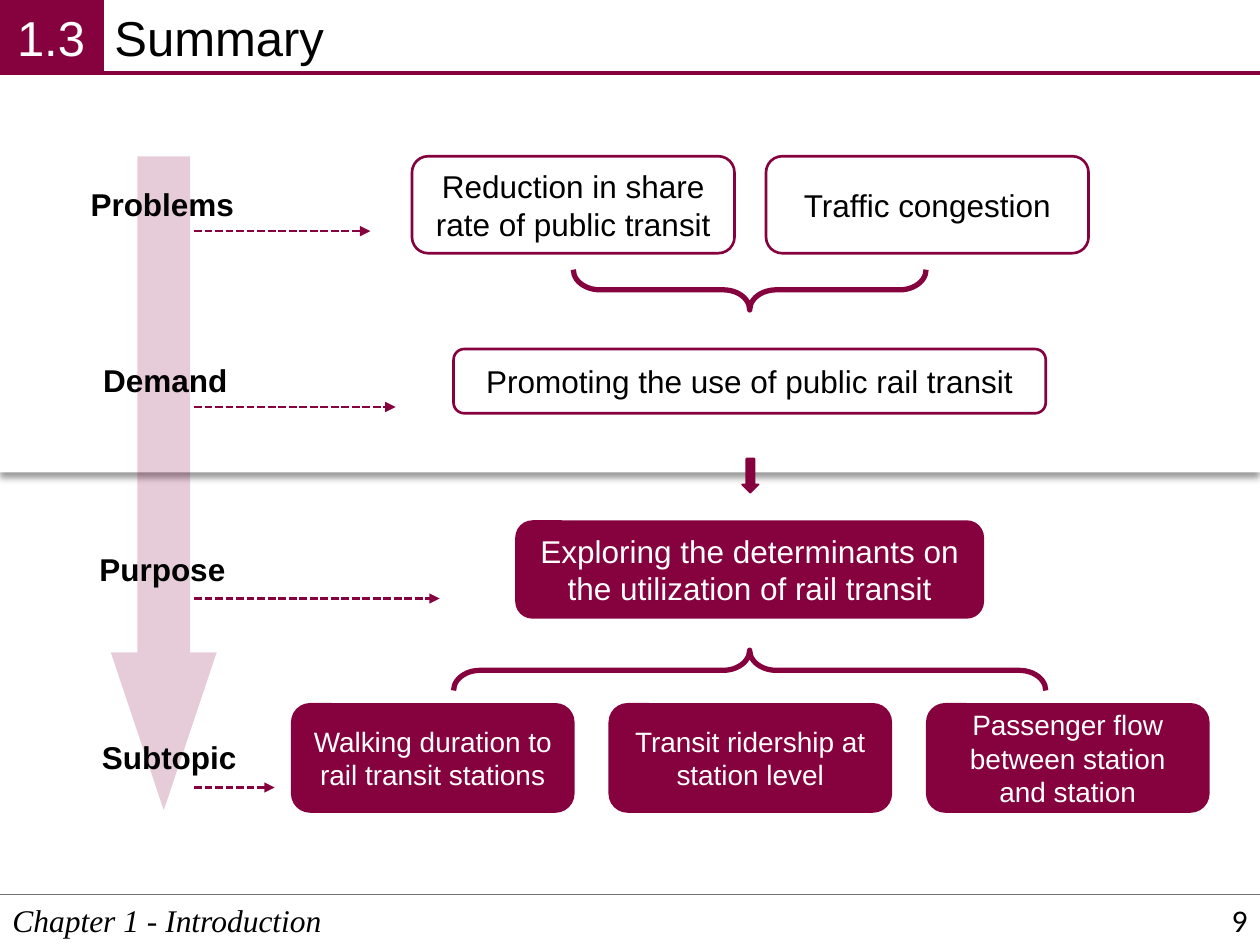
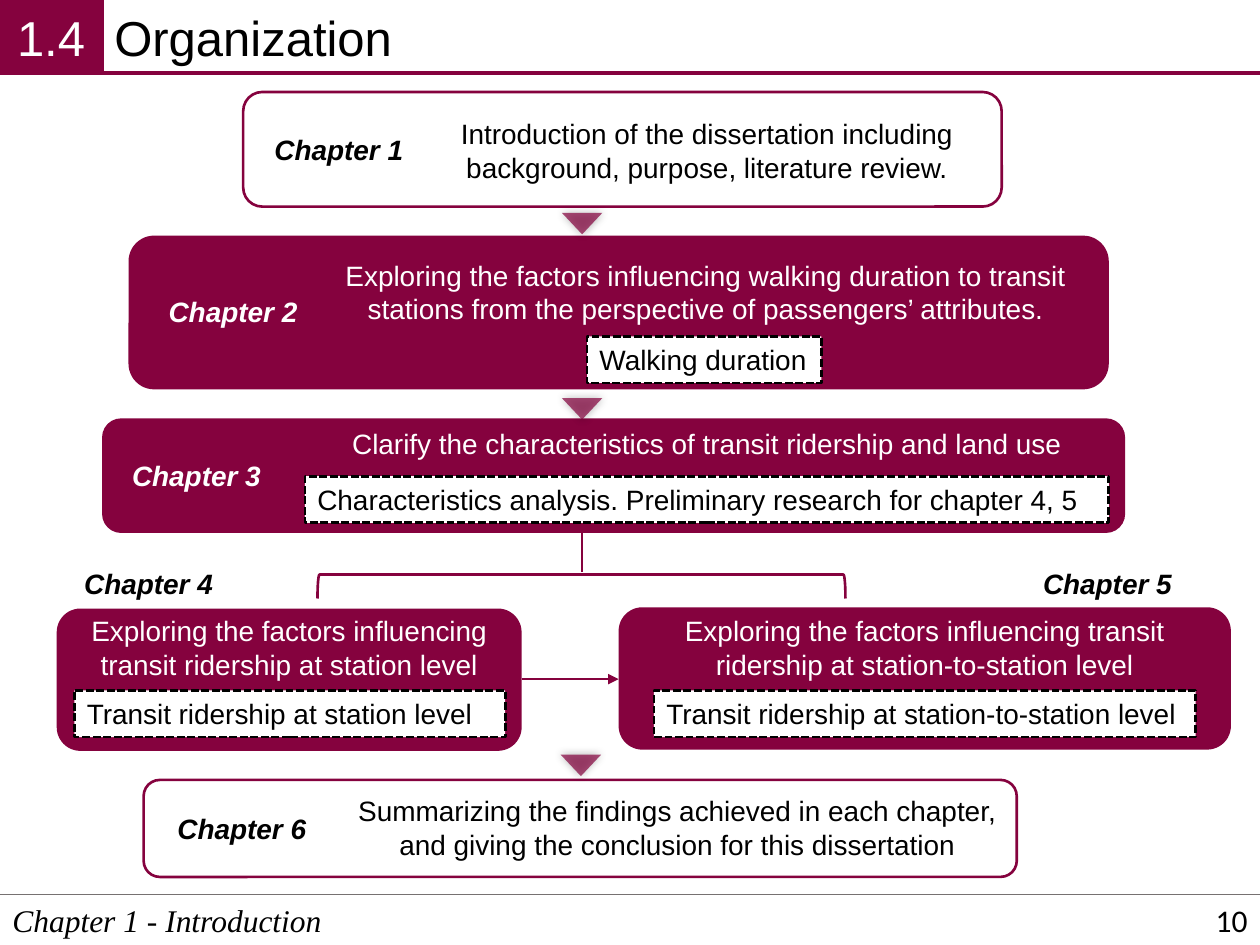
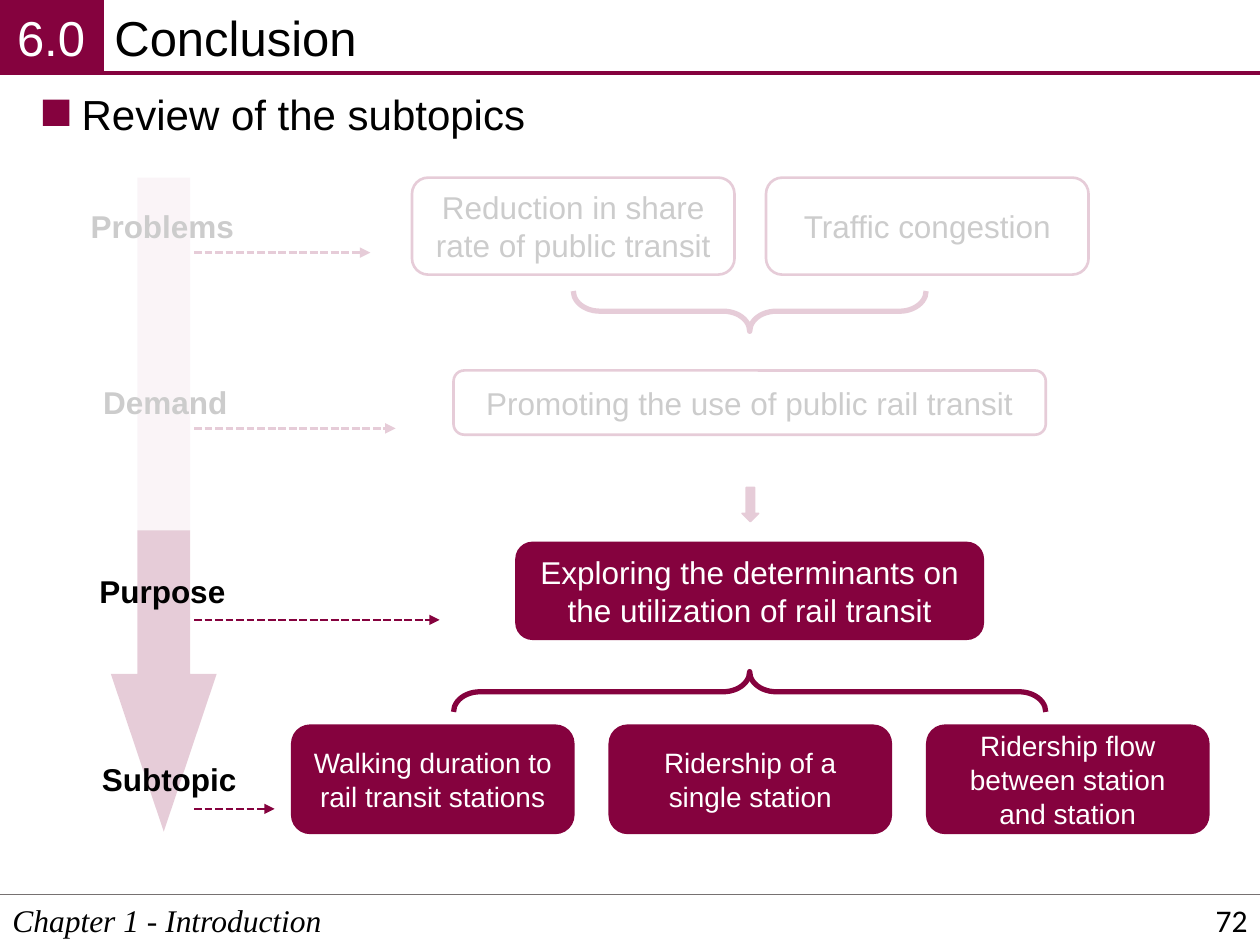
import lxml.etree
import pptx
import pptx.dml.color
import pptx.enum.dml
import pptx.enum.shapes
import pptx.enum.text
import pptx.oxml.ns
import pptx.util

COLORS = {"wine": "85023E", "ink": "000000", "paper": "FFFFFF", "rule": "767171"}
KIND = pptx.enum.shapes.MSO_SHAPE
ALIGN = pptx.enum.text.PP_ALIGN
ANCHOR = pptx.enum.text.MSO_ANCHOR
DASH = pptx.enum.dml.MSO_LINE.SQUARE_DOT
qn = pptx.oxml.ns.qn

presentation = pptx.Presentation()
presentation.slide_width = pptx.util.Inches(10)
presentation.slide_height = pptx.util.Inches(7.5)

# The grid has 100 columns and 75 rows; every place is given in its units
COLUMN = presentation.slide_width / 100
ROW = presentation.slide_height / 75


def add_box(slide, kind, place, fill=None, line=None, weight=1.5, dash=None, opacity=100,
            shadow=None, rotation=0, adjustments=(), text="", size=16, color="ink",
            font="Arial", bold=False, italic=False, align=ALIGN.CENTER,
            anchor=ANCHOR.MIDDLE, wrap=True, inset=None):
    """Add a preset shape, or a text box when kind is None."""
    left, top, width, height = place
    frame = [int(left * COLUMN), int(top * ROW), int(width * COLUMN), int(height * ROW)]
    if kind is None:
        shape = slide.shapes.add_textbox(*frame)
    else:
        shape = slide.shapes.add_shape(kind, *frame)
        shape.shadow.inherit = False
        shape.rotation = rotation
        for index, value in enumerate(adjustments):
            shape.adjustments[index] = value
        if fill:
            shape.fill.solid()
            shape.fill.fore_color.rgb = pptx.dml.color.RGBColor.from_string(COLORS[fill])
            if opacity < 100:
                tint = shape._element.spPr.find(qn("a:solidFill"))[0]
                lxml.etree.SubElement(tint, qn("a:alpha"), val=str(opacity * 1000))
        else:
            shape.fill.background()
        if line:
            shape.line.color.rgb = pptx.dml.color.RGBColor.from_string(COLORS[line])
            shape.line.width = pptx.util.Pt(weight)
            if dash:
                shape.line.dash_style = dash
        else:
            shape.line.fill.background()
        if shadow:
            blur, distance, angle = shadow
            effects = shape._element.spPr.find(qn("a:effectLst"))
            outer = lxml.etree.SubElement(
                effects, qn("a:outerShdw"), blurRad=str(pptx.util.Pt(blur)),
                dist=str(pptx.util.Pt(distance)), dir=str(angle * 60000),
                algn="ctr", rotWithShape="0")
            shade = lxml.etree.SubElement(outer, qn("a:srgbClr"), val=COLORS["ink"])
            lxml.etree.SubElement(shade, qn("a:alpha"), val="40000")
    if text:
        text_frame = shape.text_frame
        text_frame.text = text
        text_frame.word_wrap = wrap
        text_frame.vertical_anchor = anchor
        if inset is not None:
            text_frame.margin_left = text_frame.margin_right = int(inset * COLUMN)
            text_frame.margin_top = text_frame.margin_bottom = int(inset * ROW)
        paragraph = text_frame.paragraphs[0]
        paragraph.alignment = align
        run_font = paragraph.runs[0].font
        run_font.name, run_font.size = font, pptx.util.Pt(size)
        run_font.bold, run_font.italic = bold, italic
        run_font.color.rgb = pptx.dml.color.RGBColor.from_string(COLORS[color])
    return shape


def add_line(slide, start, end, color="wine", weight=1.5, dash=None, arrow=False):
    """Add a straight connector, with an arrowhead at its end if wanted."""
    connector = slide.shapes.add_connector(
        pptx.enum.shapes.MSO_CONNECTOR.STRAIGHT, int(start[0] * COLUMN),
        int(start[1] * ROW), int(end[0] * COLUMN), int(end[1] * ROW))
    connector.line.color.rgb = pptx.dml.color.RGBColor.from_string(COLORS[color])
    connector.line.width = pptx.util.Pt(weight)
    if dash:
        connector.line.dash_style = dash
    if arrow:
        lxml.etree.SubElement(connector.line._get_or_add_ln(), qn("a:tailEnd"), type="triangle")
    lxml.etree.SubElement(connector._element.spPr, qn("a:effectLst"))


blank = presentation.slide_layouts[6]
summary, organization, conclusion = [presentation.slides.add_slide(blank) for _ in range(3)]

# Raised upper panel of the summary, behind everything else
add_box(summary, KIND.RECTANGLE, (0, 5.9, 100, 31.6), fill="paper", shadow=(4, 3, 90))

# Header and footer of every slide
for slide, section, title, page in (
    (summary, "1.3", "Summary", "9"),
    (organization, "1.4", "Organization", "10"),
    (conclusion, "6.0", "Conclusion", "72"),
):
    add_box(slide, None, (0, 71, 100, 4), text="Chapter 1 - Introduction", size=18,
            font="Times New Roman", italic=True, align=ALIGN.LEFT, anchor=ANCHOR.TOP)
    add_line(slide, (0, 71), (100, 71), "rule", 1)
    add_box(slide, None, (8.1, 0.1, 91.9, 5.7), text=title, size=28,
            align=ALIGN.LEFT, anchor=ANCHOR.TOP)
    add_box(slide, KIND.RECTANGLE, (0, 0, 8.1, 5.8), fill="wine", line="wine", weight=2.25,
            text=section, size=28, color="paper", inset=0.6)
    add_line(slide, (8.1, 5.8), (100, 5.8), weight=2.25)
    add_box(slide, None, (77.5, 71, 22.5, 4), text=page, size=18, font="Calibri",
            align=ALIGN.RIGHT)

# Flow from problems to subtopics, on the summary and lower on the conclusion
SUBTOPIC_LEFT, SUBTOPIC_STEP = 23.2, 25.2
for slide, top, small_arrow_top, subtopics in (
    (summary, 12.4, 37.1, ("Walking duration to rail transit stations",
                           "Transit ridership at station level",
                           "Passenger flow between station and station")),
    (conclusion, 14.1, 39.4, ("Walking duration to rail transit stations",
                              "Ridership of a single station",
                              "Ridership flow between station and station")),
):
    add_box(slide, KIND.DOWN_ARROW, (8.8, top, 8.4, 51.9), fill="wine", opacity=20,
            adjustments=(0.5, 1.49))

    # Stage names with dashed pointers
    for stage, left, label_offset, width, pointer_end, pointer_offset in (
        ("Problems", 6.2, 1.8, 13.5, 29.4, 5.95),
        ("Demand", 7.2, 15.8, 12, 31.4, 19.9),
        ("Purpose", 6.9, 30.8, 12.1, 34.9, 35.1),
        ("Subtopic", 7.1, 45.7, 12.8, 21.8, 50.1),
    ):
        add_box(slide, None, (left, top + label_offset, width, 4), text=stage, size=18,
                bold=True, align=ALIGN.LEFT, anchor=ANCHOR.TOP, wrap=False)
        add_line(slide, (15.4, top + pointer_offset), (pointer_end, top + pointer_offset),
                 dash=DASH, arrow=True)

    # Problems, demand and purpose
    for text, left, offset, width, height, fill, color in (
        ("Reduction in share rate of public transit", 32.7, 0, 25.6, 7.7, None, "ink"),
        ("Traffic congestion", 60.8, 0, 25.6, 7.7, None, "ink"),
        ("Promoting the use of public rail transit", 36, 15.3, 47, 5.1, None, "ink"),
        ("Exploring the determinants on the utilization of rail transit",
         41, 29, 37, 7.6, "wine", "paper"),
    ):
        add_box(slide, KIND.ROUNDED_RECTANGLE, (left, top + offset, width, height), fill=fill,
                line="wine", text=text, size=18, color=color)

    # Subtopics
    for index, subtopic in enumerate(subtopics):
        add_box(slide, KIND.ROUNDED_RECTANGLE,
                (SUBTOPIC_LEFT + index * SUBTOPIC_STEP, top + 43.5, 22.3, 8.5),
                fill="wine", line="wine", text=subtopic, color="paper")

    # Braces and the arrow joining the levels
    for offset, length, rotation in ((-3.4, 28, 90), (17.3, 47, 270)):
        add_box(slide, KIND.RIGHT_BRACE, (57.9, top + offset, 3.2, length), line="wine",
                weight=3, rotation=rotation, adjustments=(0.66, 0.5))
    add_box(slide, KIND.RIGHT_ARROW, (58.2, small_arrow_top, 2.7, 1.3), fill="wine",
            line="wine", weight=1, rotation=90)

# Chapter cards: card, label position, description, boxed keyword
for number, card, fill, label, label_color, description, text, tag, keyword in (
    (1, (19.3, 7.3, 60.2, 9.1), None, (20.8, 10), "ink", (32.7, 8.8, 46.8, 6.4),
     "Introduction of the dissertation including background, purpose, literature review.",
     None, None),
    (2, (10.2, 18.7, 77.8, 12.2), "wine", (12.4, 22.9), "paper", (23.9, 20, 64.2, 6.4),
     "Exploring the factors influencing walking duration to transit stations "
     "from the perspective of passengers’ attributes.",
     (46.6, 26.7, 18.6, 3.7), "Walking duration"),
    (3, (8.1, 33.2, 81.2, 9.1), "wine", (9.5, 35.9), "paper", (23, 33.4, 66.2, 3.7),
     "Clarify the characteristics of transit ridership and land use",
     (24.2, 37.8, 63.8, 3.7), "Characteristics analysis. Preliminary research for chapter 4, 5"),
    (4, (4.5, 48.3, 36.9, 11.3), "wine", (5.7, 44.5), "ink", (4.5, 48.2, 36.9, 6.4),
     "Exploring the factors influencing transit ridership at station level",
     (5.9, 54.8, 34.2, 3.7), "Transit ridership at station level"),
    (5, (49.1, 48.2, 48.6, 11.3), "wine", (81.8, 44.5), "ink", (49.1, 48.2, 48.6, 6.4),
     "Exploring the factors influencing transit ridership at station-to-station level",
     (51.9, 54.8, 43, 3.7), "Transit ridership at station-to-station level"),
    (6, (11.4, 61.9, 69.3, 7.7), None, (13.1, 63.9), "ink", (26.8, 62.5, 53.9, 6.4),
     "Summarizing the findings achieved in each chapter, "
     "and giving the conclusion for this dissertation", None, None),
):
    add_box(organization, KIND.ROUNDED_RECTANGLE, card, fill=fill, line=None if fill else "wine")
    add_box(organization, None, (*label, 12.4, 3.7), text=f"Chapter {number}", bold=True,
            italic=True, color=label_color, align=ALIGN.LEFT, anchor=ANCHOR.TOP, wrap=False)
    add_box(organization, None, description, text=text, color="paper" if fill else "ink",
            anchor=ANCHOR.TOP)
    if keyword:
        add_box(organization, KIND.RECTANGLE, tag, fill="paper", line="ink", dash=DASH,
                text=keyword, align=ALIGN.LEFT, anchor=ANCHOR.TOP)

# Links between the chapters
for left, top in ((44.6, 16.9), (44.6, 31.6), (44.5, 59.9)):
    add_box(organization, KIND.ISOSCELES_TRIANGLE, (left, top, 3.2, 1.7), fill="wine",
            opacity=70, shadow=(5, 0, 0), rotation=180)
add_box(organization, KIND.LEFT_BRACKET, (45.2, 25.6, 1.9, 41.9), line="wine", rotation=90)
add_line(organization, (46.2, 42.1), (46.2, 45.4))
add_line(organization, (41.4, 53.9), (49.1, 53.9), arrow=True)

# Conclusion heading, and a veil over the stages already covered
add_box(conclusion, KIND.RECTANGLE, (3.4, 7.9, 2.1, 2.1), fill="wine")
add_box(conclusion, None, (5.5, 6.5, 37.6, 5), text="Review of the subtopics", size=24,
        align=ALIGN.LEFT, anchor=ANCHOR.TOP, wrap=False)
add_box(conclusion, KIND.RECTANGLE, (5.5, 12.2, 90.3, 29.9), fill="paper", opacity=80)

presentation.save("out.pptx")
